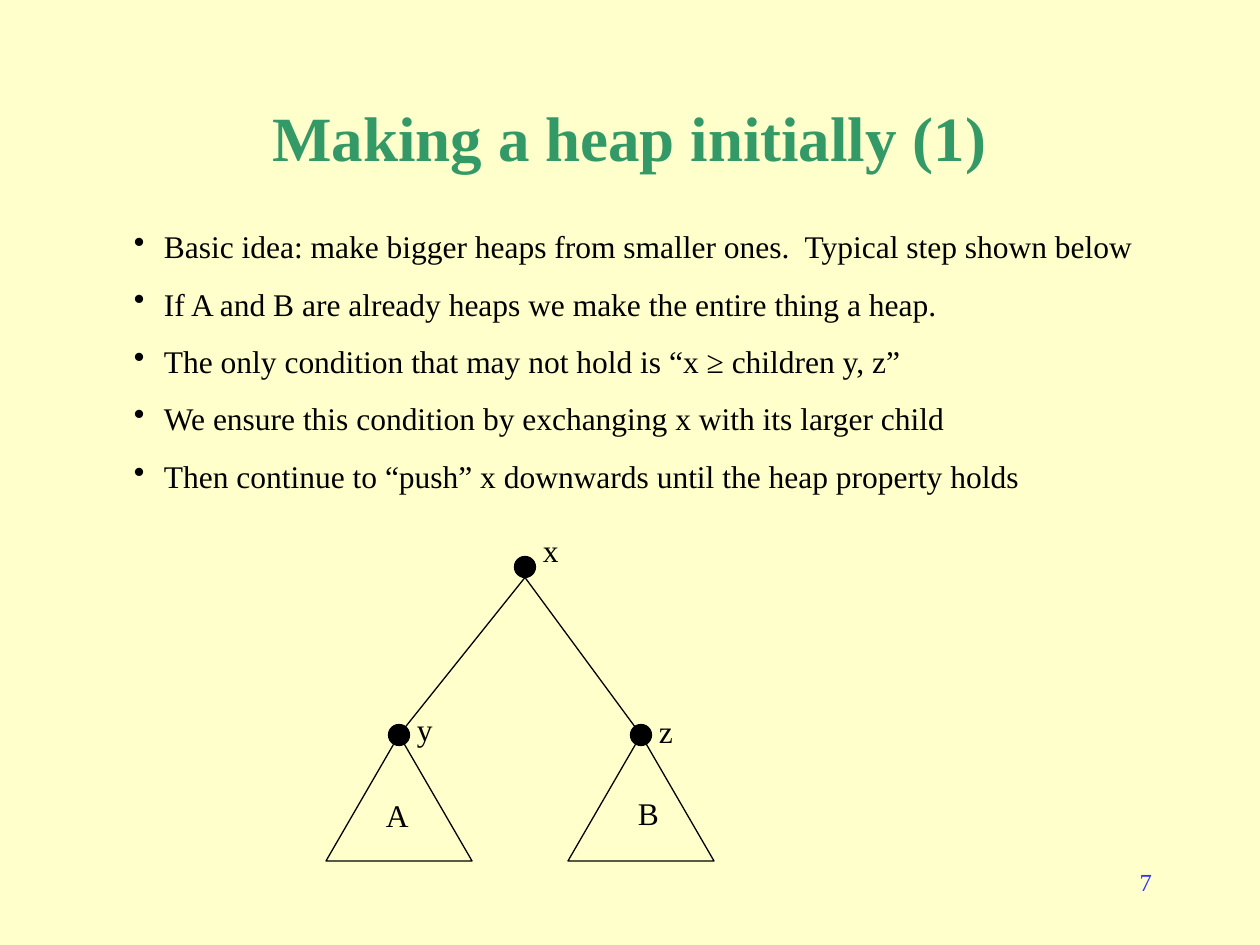
from lxml.etree import SubElement
from pptx import Presentation
from pptx.dml.color import RGBColor
from pptx.enum.shapes import MSO_CONNECTOR, MSO_SHAPE
from pptx.enum.text import MSO_ANCHOR, PP_ALIGN
from pptx.oxml.ns import qn
from pptx.util import Pt

EMU_PER_PX = 914400 // 126
FONT = "Times New Roman"
COLORS = {"background": "FFFFCC", "title": "339966", "ink": "000000", "number": "3333FF"}

POINTS = [
    "Basic idea: make bigger heaps from smaller ones.  Typical step shown below",
    "If A and B are already heaps we make the entire thing a heap.",
    "The only condition that may not hold is “x ≥ children y, z”",
    "We ensure this condition by exchanging x with its larger child",
    "Then continue to “push” x downwards until the heap property holds",
]
BULLET_INDENT = 30
NODE_SIZE = 21
ROOT = (525, 567)
HEAP_TOPS = [(399, 735), (641, 735)]
HEAP_WIDTH, HEAP_HEIGHT = 146, 126
LABELS = [("A", 378, 790), ("B", 630, 788), ("y", 409, 704), ("x", 535, 525), ("z", 651, 706)]


def px(*lengths):
    return [round(length * EMU_PER_PX) for length in lengths]


def rgb(name):
    return RGBColor.from_string(COLORS[name])


def add_bullet(paragraph):
    properties = paragraph._p.get_or_add_pPr()
    indent, = px(BULLET_INDENT)
    properties.set("marL", str(indent))
    properties.set("indent", str(-indent))
    SubElement(properties, qn("a:buChar")).set("char", "•")


def add_text(slide, box, lines, size=18, color="ink", bold=False, align=PP_ALIGN.LEFT,
             anchor=MSO_ANCHOR.TOP, side_inset=8, bulleted=False):
    frame = slide.shapes.add_textbox(*px(*box)).text_frame
    frame.word_wrap = True
    frame.vertical_anchor = anchor
    frame.margin_left, frame.margin_right = px(side_inset, side_inset)
    for index, line in enumerate(lines):
        paragraph = frame.add_paragraph() if index else frame.paragraphs[0]
        if bulleted:
            add_bullet(paragraph)
        paragraph.alignment = align
        if index:
            paragraph.space_before = Pt(11.2)
        run = paragraph.add_run()
        run.text = line
        run.font.name = FONT
        run.font.size = Pt(size)
        run.font.bold = bold
        run.font.color.rgb = rgb(color)


def outline(shape):
    shape.line.color.rgb = rgb("ink")
    shape.line.width = Pt(0.75)


def add_node(slide, center):
    x, y = center
    node = slide.shapes.add_shape(
        MSO_SHAPE.OVAL, *px(x - NODE_SIZE / 2, y - NODE_SIZE / 2, NODE_SIZE, NODE_SIZE))
    node.shadow.inherit = False
    node.fill.solid()
    node.fill.fore_color.rgb = rgb("ink")
    outline(node)


def add_heap(slide, top):
    x, y = top
    heap = slide.shapes.add_shape(
        MSO_SHAPE.ISOSCELES_TRIANGLE, *px(x - HEAP_WIDTH / 2, y, HEAP_WIDTH, HEAP_HEIGHT))
    heap.shadow.inherit = False
    heap.fill.background()
    outline(heap)
    return heap


def add_edge(slide, start, top, heap):
    edge = slide.shapes.add_connector(MSO_CONNECTOR.STRAIGHT, *px(*start, *top))
    edge.end_connect(heap, 0)
    outline(edge)
    SubElement(edge._element.spPr, qn("a:effectLst"))


def add_heap_tree(slide):
    root_bottom = (ROOT[0], ROOT[1] + NODE_SIZE / 2)
    for center in [ROOT, *HEAP_TOPS]:
        add_node(slide, center)
    for top in HEAP_TOPS:
        add_edge(slide, root_bottom, top, add_heap(slide, top))
    for name, left, top in LABELS:
        add_text(slide, (left, top, 73, 50), [name])


def main():
    deck = Presentation()
    deck.slide_width, deck.slide_height = px(1260, 945)
    slide = deck.slides.add_slide(deck.slide_layouts[6])
    slide.background.fill.solid()
    slide.background.fill.fore_color.rgb = rgb("background")

    add_text(slide, (903, 861, 262, 63), ["7"], size=14, color="number",
             align=PP_ALIGN.RIGHT, side_inset=13)
    add_text(slide, (94, 84, 1071, 105), ["Making a heap initially (1)"], size=36,
             color="title", bold=True, align=PP_ALIGN.CENTER, anchor=MSO_ANCHOR.MIDDLE)
    add_text(slide, (126, 221, 1029, 281), POINTS, bulleted=True)
    add_heap_tree(slide)
    deck.save("out.pptx")


if __name__ == "__main__":
    main()
